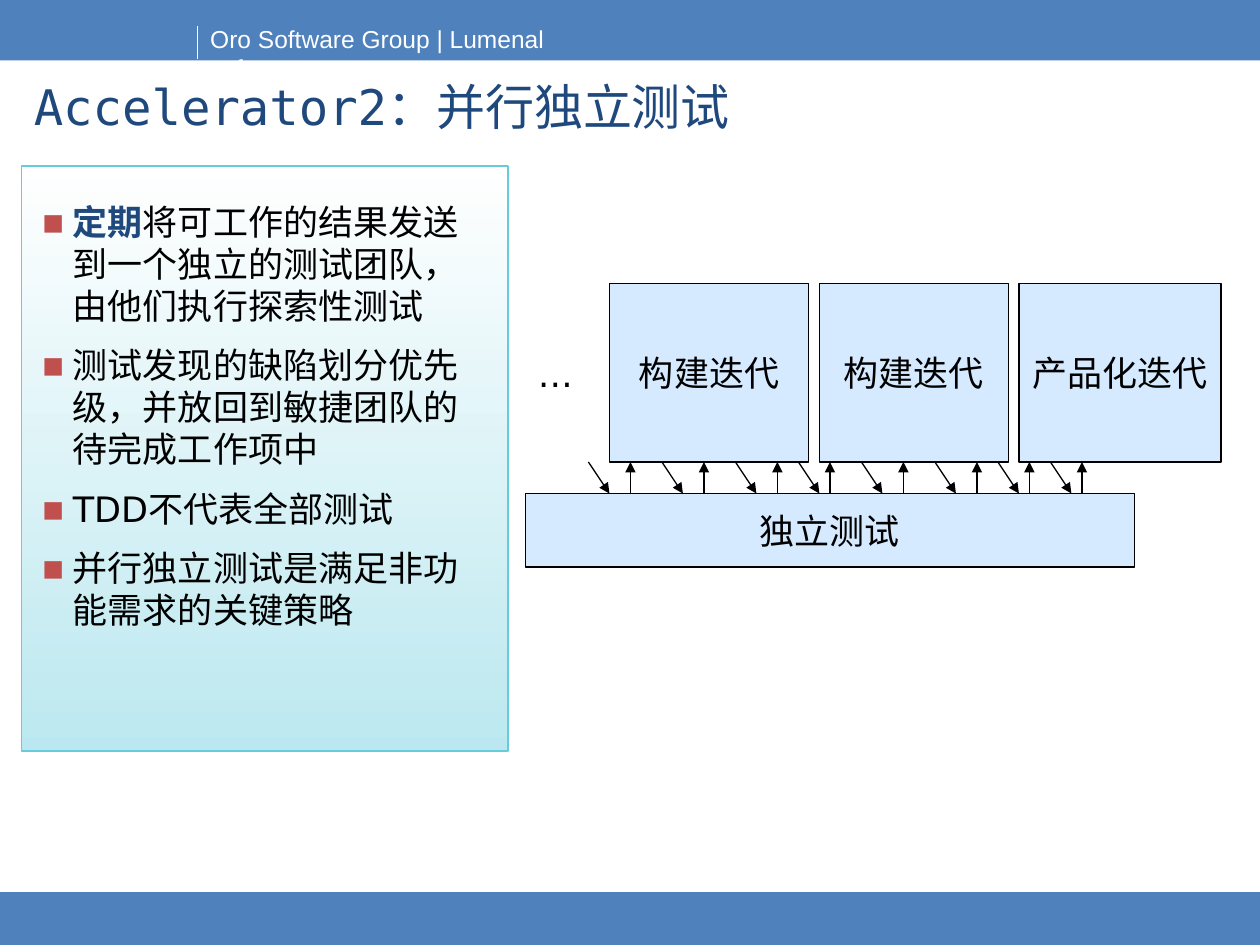
import dataclasses

import pptx
import pptx.dml.color
import pptx.enum.shapes
import pptx.enum.text
import pptx.oxml
import pptx.oxml.ns
import pptx.util
from pptx.util import Inches


@dataclasses.dataclass(frozen=True)
class Theme:
    band: str = "4F81BD"
    navy: str = "1F497D"
    black: str = "000000"
    white: str = "FFFFFF"
    stage: str = "D5EAFF"
    panel: str = "A5E1EB"
    panel_edge: str = "66CCDC"
    bullet: str = "C0504D"
    header_font: str = "Arial"
    title_font: str = "DejaVu Sans Mono"
    body_font: str = "DejaVu Sans"
    header_size: int = 14
    title_size: int = 28
    body_size: int = 20


THEME = Theme()


def rgb(value):
    return pptx.dml.color.RGBColor.from_string(value)


def add_xml(parent, tag, **attributes):
    child = pptx.oxml.parse_xml(f"<a:{tag} {pptx.oxml.ns.nsdecls('a')}/>")
    for key, value in attributes.items():
        child.set(key, value)
    parent.append(child)


def set_font(font, color=THEME.black, name=THEME.body_font, size=THEME.body_size):
    font.name, font.size = name, pptx.util.Pt(size)
    font.color.rgb = rgb(color)


def add_text(slide, box, text, wrap=True, **font):
    frame = slide.shapes.add_textbox(*box).text_frame
    frame.word_wrap = wrap
    frame.text = text
    set_font(frame.paragraphs[0].font, **font)
    return frame


def add_box(slide, box, fill=None, edge=None, weight=0.75):
    shape = slide.shapes.add_shape(pptx.enum.shapes.MSO_SHAPE.RECTANGLE, *box)
    shape.shadow.inherit = False
    if fill:
        shape.fill.solid()
        shape.fill.fore_color.rgb = rgb(fill)
    if edge:
        shape.line.color.rgb = rgb(edge)
        shape.line.width = pptx.util.Pt(weight)
    else:
        shape.line.fill.background()
    return shape


def add_line(slide, start, end, color, arrow=False):
    line = slide.shapes.add_connector(
        pptx.enum.shapes.MSO_CONNECTOR.STRAIGHT, *start, *end)
    line.line.color.rgb = rgb(color)
    line.line.width = pptx.util.Pt(0.75)
    if arrow:
        add_xml(line.line._get_or_add_ln(), "tailEnd", type="triangle")
    add_xml(line._element.spPr, "effectLst")
    return line


def add_header(slide, left, top, width, height):
    add_box(slide, (left, top, width, height), THEME.band)
    divider = left + Inches(1.57)
    add_text(slide, (divider, top + Inches(0.14), Inches(3.61), Inches(0.33)),
             "Oro Software Group | Lumenal software", color=THEME.white,
             name=THEME.header_font, size=THEME.header_size)
    add_line(slide, (divider, top + Inches(0.21)), (divider, top + Inches(0.47)),
             THEME.white)


def add_title(slide, *box):
    frame = add_text(slide, box, "Accelerator2：并行独立测试", color=THEME.navy,
                     name=THEME.title_font, size=THEME.title_size)
    frame.paragraphs[0].line_spacing = 0.9


def add_stage(slide, box, label):
    stage = add_box(slide, box, THEME.stage, THEME.black)
    frame = stage.text_frame
    frame.word_wrap = False
    frame.vertical_anchor = pptx.enum.text.MSO_ANCHOR.MIDDLE
    frame.text = label
    frame.paragraphs[0].alignment = pptx.enum.text.PP_ALIGN.CENTER
    set_font(frame.paragraphs[0].font)
    return stage


def add_test_flow(slide, left, top):
    # The diagram sits on a grid of twelfths of an inch
    def grid(units):
        return int(Inches(units / 12))

    stages_bottom, testing_top = top + grid(17), top + grid(20)

    # Independent testing runs below the iterations
    testing = add_stage(slide, (left, testing_top, grid(58), grid(7)), "独立测试")
    add_text(slide, (left, top + grid(6), Inches(0.43), Inches(0.44)), "…", wrap=False)
    column = 8
    for label, width in (("构建迭代", 19), ("构建迭代", 18), ("产品化迭代", 19.25)):
        add_stage(slide, (left + grid(column), top, grid(width), grid(17)), label)
        column += width + 1

    # Builds go down to testing, defects come back up
    for build in (6, 13, 20, 26, 32, 39, 45, 50):
        add_line(slide, (left + grid(build), stages_bottom),
                 (left + grid(build + 2), testing_top), THEME.black, arrow=True)
    for defect in (10, 17, 24, 29, 36, 43, 48, 53):
        x = left + grid(defect)
        arrow = add_line(slide, (x, testing_top), (x, stages_bottom),
                         THEME.black, arrow=True)
        if defect == 29:
            arrow.begin_connect(testing, 0)


def add_points(slide, left, top, width, height):
    panel = add_box(slide, (left, top, width, height), edge=THEME.panel_edge, weight=1)
    panel.fill.gradient()
    panel.fill.gradient_angle = 270
    for stop, color in zip(panel.fill.gradient_stops, (THEME.white, THEME.panel)):
        stop.color.rgb = rgb(color)
    for color in panel._element.spPr.findall(".//" + pptx.oxml.ns.qn("a:gs")):
        add_xml(color[0], "alpha", val="75000")

    points = (
        ("定期", "将可工作的结果发送到一个独立的测试团队，由他们执行探索性测试"),
        ("", "测试发现的缺陷划分优先级，并放回到敏捷团队的待完成工作项中"),
        ("", "TDD不代表全部测试"),
        ("", "并行独立测试是满足非功能需求的关键策略"),
    )
    frame = slide.shapes.add_textbox(left + Inches(0.06), top + Inches(0.22),
                                     Inches(3.67), Inches(3.64)).text_frame
    frame.word_wrap = True
    for index, (keyword, text) in enumerate(points):
        point = frame.paragraphs[0] if index == 0 else frame.add_paragraph()
        if index:
            point.space_before = pptx.util.Pt(10)
        properties = point._p.get_or_add_pPr()
        properties.set("marL", str(Inches(0.25)))
        properties.set("indent", str(Inches(-0.25)))
        add_xml(properties, "buClr")
        add_xml(properties[-1], "srgbClr", val=THEME.bullet)
        add_xml(properties, "buFont", typeface=THEME.body_font)
        add_xml(properties, "buChar", char="▪")
        set_font(point.font)
        if keyword:
            strong = point.add_run()
            strong.text = keyword
            strong.font.bold = True
            strong.font.color.rgb = rgb(THEME.navy)
        point.add_run().text = text


def main():
    deck = pptx.Presentation()
    deck.slide_width, deck.slide_height = Inches(10), Inches(7.5)
    slide = deck.slides.add_slide(deck.slide_layouts[6])

    # Footer and header bands
    add_box(slide, (0, Inches(7.08), Inches(10), Inches(0.42)),
            THEME.band, THEME.band, 0.25)
    add_header(slide, 0, 0, Inches(10), Inches(0.48))

    # Content
    add_title(slide, Inches(0.17), Inches(0.61), Inches(9.68), Inches(0.52))
    add_test_flow(slide, Inches(4.17), Inches(2.25))
    add_points(slide, Inches(0.17), Inches(1.32), Inches(3.86), Inches(4.64))

    deck.save("out.pptx")


if __name__ == "__main__":
    main()
